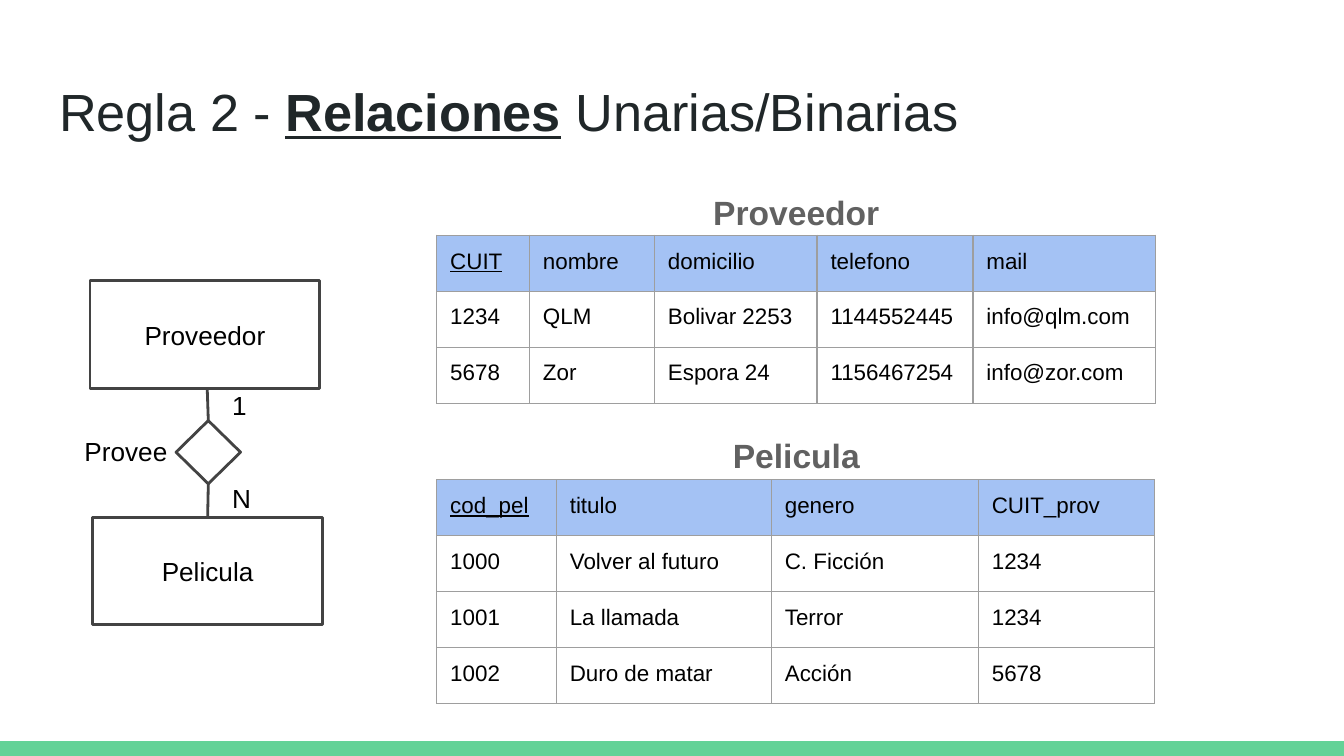
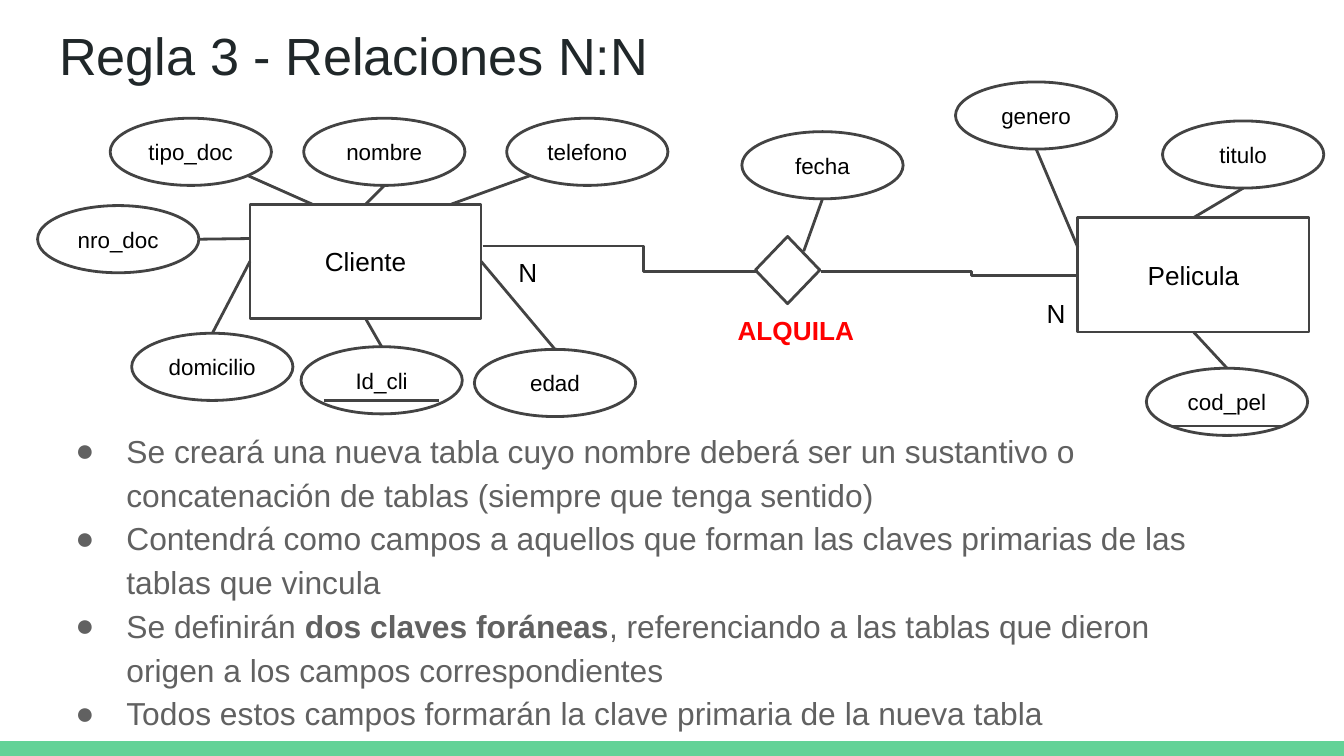
from dataclasses import dataclass

from lxml import etree
from pptx import Presentation
from pptx.dml.color import RGBColor
from pptx.enum import shapes, text
from pptx.oxml import ns
from pptx.util import Inches, Pt


@dataclass(frozen=True)
class Theme:
    font: str = "Arial"
    title: str = "202729"
    body: str = "616161"
    ink: str = "000000"
    alert: str = "FF0000"
    outline: str = "434343"
    band: str = "63D297"
    header: str = "A4C2F4"
    grid: str = "9E9E9E"
    title_size: float = 28
    caption_size: float = 18
    body_size: float = 17
    entity_size: float = 14
    small_size: float = 12
    stroke: float = 1.5
    grid_stroke: float = 0.75
    inset: float = 0.1


THEME = Theme()
SLIDE_W = 10
SLIDE_H = SLIDE_W * 9 / 16
BAND_H = 0.11
ROW_H = 5 / 12

# Runs are (text, style); style letters are b for bold and u for underline.
BINARY_TITLE = [("Regla 2 - ", ""), ("Relaciones", "bu"), (" Unarias/Binarias", "")]
CAPTIONS = [("Proveedor", 1.28), ("Pelicula", 3.09)]
TABLES = [  # left, top, column widths, rows, first column is the key
    (3.25, 1.75, [0.69, 0.93, 1.21, 1.16, 1.36], [
        ["CUIT", "nombre", "domicilio", "telefono", "mail"],
        ["1234", "QLM", "Bolivar 2253", "1144552445", "info@qlm.com"],
        ["5678", "Zor", "Espora 24", "1156467254", "info@zor.com"],
    ], True),
    (3.25, 3.57, [0.89, 1.6, 1.54], [
        ["cod_pel", "titulo", "genero"],
        ["1000", "Volver al futuro", "C. Ficción"],
        ["1001", "La llamada", "Terror"],
        ["1002", "Duro de matar", "Acción"],
    ], True),
    (7.28, 3.57, [1.31], [["CUIT_prov"], ["1234"], ["1234"], ["5678"]], False),
]
SUPPLY_ENTITIES = [  # name, left, top, link point (fractions of its box)
    ("Proveedor", 0.67, 2.09, (0.51, 1)),
    ("Pelicula", 0.69, 3.85, (0.5, 0)),
]
SUPPLY_SIZE = (1.71, 0.8)
SUPPLY_DIAMOND = (1.31, 3.13, 0.48, 0.47)
SUPPLY_LABELS = [("Provee", 0.53, 3.14, 0.85, 0.35),
                 ("1", 1.63, 2.8, 0.3, 0.47), ("N", 1.63, 3.49, 0.3, 0.47)]

MANY_TITLE = [("Regla 3 - Relaciones N:N", "")]
RULES = [
    [("Se creará una nueva tabla cuyo nombre deberá ser un sustantivo o "
      "concatenación de tablas (siempre que tenga sentido)", "")],
    [("Contendrá como campos a aquellos que forman las claves primarias de las "
      "tablas que vincula", "")],
    [("Se definirán ", ""), ("dos claves foráneas", "b"),
     (", referenciando a las tablas que dieron origen a los campos correspondientes", "")],
    [("Todos estos campos formarán la clave primaria de la nueva tabla", "")],
]
RENT_ENTITIES = [("Cliente", 1.86, 1.52), ("Pelicula", 8.02, 1.62)]
RENT_SIZE = (1.72, 0.85)
RENT_DIAMOND = (5.62, 1.76, 0.48, 0.5)
OVAL_SIZE = (1.2, 0.5)
# text, left, top, point on the oval, point on the owner (fractions of its box)
ATTRIBUTES = {
    "Cliente": [
        ("tipo_doc", 0.82, 0.88, (0.85, 0.85), (0.27, 0)),
        ("nombre", 2.26, 0.88, (0.5, 1), (0.5, 0)),
        ("telefono", 3.77, 0.88, (0.15, 0.85), (0.87, 0)),
        ("nro_doc", 0.28, 1.53, (1, 0.5), (0, 0.3)),
        ("domicilio", 0.98, 2.48, (0.5, 0), (0, 0.5)),
        ("Id_cli", 2.24, 2.58, (0.5, 0), (0.5, 1)),
        ("edad", 3.53, 2.6, (0.5, 0), (1, 0.5)),
    ],
    "Pelicula": [
        ("genero", 7.11, 0.61, (0.5, 1), (0, 0.26)),
        ("titulo", 8.65, 0.9, (0.5, 1), (0.5, 0)),
        ("cod_pel", 8.53, 2.74, (0.5, 0), (0.5, 1)),
    ],
    "ALQUILA": [("fecha", 5.52, 0.98, (0.5, 1), (0.75, 0.22))],
}
KEY_DEPTHS = {"Id_cli": 0.4, "cod_pel": 0.43}
KEY_START, KEY_END = 0.17, 1.03
RENT_LINKS = [((3.59, 1.83), (5.64, 2.02), 0.585), ((6.11, 2.02), (8.02, 2.05), 0.586)]
RENT_LABELS = [("N", 3.76, 1.81, 0.3, 0.5), ("N", 7.69, 2.11, 0.3, 0.5)]
RENT_NAME = ("ALQUILA", 5.39, 2.24, 1.27, 0.5)

SIDES = {(0.5, 0): 0, (0, 0.5): 1, (0.5, 1): 2, (1, 0.5): 3}
CENTER = text.PP_ALIGN.CENTER
LEFT = text.PP_ALIGN.LEFT


def rgb(colour):
    return RGBColor.from_string(colour)


def inches(*values):
    return [Inches(value) for value in values]


def write(paragraph, runs, size, colour=THEME.ink, align=LEFT):
    paragraph.alignment = align
    for words, style in runs:
        run = paragraph.add_run()
        run.text = words
        font = run.font
        font.name, font.size = THEME.font, Pt(size)
        font.bold, font.underline = "b" in style, "u" in style
        font.color.rgb = rgb(colour)


def set_frame(frame, anchor=text.MSO_ANCHOR.TOP, wrap=True):
    frame.auto_size = text.MSO_AUTO_SIZE.NONE
    frame.word_wrap = wrap
    frame.vertical_anchor = anchor
    frame.margin_left = frame.margin_right = Inches(THEME.inset)
    frame.margin_top = frame.margin_bottom = Inches(THEME.inset)
    return frame.paragraphs[0]


def place(shape, *box):
    shape.left, shape.top, shape.width, shape.height = inches(*box)


def add_title(slide, runs, top):
    place(slide.shapes.title, 0.34, top, 9.32, 0.63)
    write(set_frame(slide.shapes.title.text_frame), runs, THEME.title_size, THEME.title)


def add_label(slide, words, *box, style="", size=THEME.entity_size, colour=THEME.ink, align=LEFT):
    label = slide.shapes.add_textbox(*inches(*box))
    paragraph = set_frame(label.text_frame)
    write(paragraph, [(words, style)], size, colour, align)
    return paragraph


def add_node(slide, kind, box, words="", size=THEME.entity_size):
    node = slide.shapes.add_shape(kind, *inches(*box))
    node.shadow.inherit = False
    node.fill.background()
    node.line.color.rgb = rgb(THEME.outline)
    node.line.width = Pt(THEME.stroke)
    paragraph = set_frame(node.text_frame, text.MSO_ANCHOR.MIDDLE, wrap=False)
    if words:
        write(paragraph, [(words, "")], size, align=CENTER)
    return node


def add_link(slide, start, end, kind=shapes.MSO_CONNECTOR.STRAIGHT):
    """Draw a connector between two points in EMU."""
    link = slide.shapes.add_connector(kind, *start, *end)
    link.line.color.rgb = rgb(THEME.outline)
    link.line.width = Pt(THEME.stroke)
    etree.SubElement(link.element.spPr, ns.qn("a:effectLst"))
    return link


def add_elbow(slide, start, end, bend):
    link = add_link(slide, inches(*start), inches(*end), shapes.MSO_CONNECTOR.ELBOW)
    guides = link.element.spPr.find(ns.qn("a:prstGeom")).find(ns.qn("a:avLst"))
    etree.SubElement(guides, ns.qn("a:gd"), name="adj1", fmla=f"val {round(bend * 100000)}")


def point_on(node, fractions):
    across, down = fractions
    return round(node.left + across * node.width), round(node.top + down * node.height)


def link_nodes(slide, node, node_point, owner, owner_point):
    """Link two nodes, joining the owner where the line meets the middle of a side."""
    link = add_link(slide, point_on(node, node_point), point_on(owner, owner_point))
    if owner_point in SIDES:
        link.end_connect(owner, SIDES[owner_point])
    return link


def add_attribute(slide, owner, words, left, top, oval_point, owner_point):
    oval = add_node(slide, shapes.MSO_SHAPE.OVAL, (left, top, *OVAL_SIZE), words, THEME.small_size)
    link_nodes(slide, oval, oval_point, owner, owner_point)
    if words in KEY_DEPTHS:
        y = top + KEY_DEPTHS[words]
        add_link(slide, inches(left + KEY_START, y), inches(left + KEY_END, y))


def add_grid(slide, left, top, widths, rows, has_key):
    box = inches(left, top, sum(widths), ROW_H * len(rows))
    grid = slide.shapes.add_table(len(rows), len(widths), *box).table
    grid.first_row = grid.horz_banding = False
    for column, width in zip(grid.columns, widths):
        column.width = Inches(width)
    for r, row in enumerate(rows):
        grid.rows[r].height = Inches(ROW_H)
        for c, words in enumerate(row):
            cell = grid.cell(r, c)
            cell.margin_left = cell.margin_right = Inches(THEME.inset)
            cell.margin_top = cell.margin_bottom = Inches(THEME.inset)
            add_borders(cell)
            if r == 0:
                cell.fill.solid()
                cell.fill.fore_color.rgb = rgb(THEME.header)
            else:
                cell.fill.background()
            style = "u" if has_key and r == c == 0 else ""
            write(cell.text_frame.paragraphs[0], [(words, style)], THEME.small_size)


def add_borders(cell):
    properties = cell._tc.get_or_add_tcPr()
    for side in ("a:lnL", "a:lnR", "a:lnT", "a:lnB"):
        border = etree.SubElement(properties, ns.qn(side), w=str(Pt(THEME.grid_stroke)))
        fill = etree.SubElement(border, ns.qn("a:solidFill"))
        etree.SubElement(fill, ns.qn("a:srgbClr"), val=THEME.grid)


def add_bullet(paragraph):
    properties = paragraph._p.get_or_add_pPr()
    properties.set("marL", str(Inches(0.5)))
    properties.set("indent", str(Inches(-0.38)))
    colour = etree.SubElement(properties, ns.qn("a:buClr"))
    etree.SubElement(colour, ns.qn("a:srgbClr"), val=THEME.body)
    etree.SubElement(properties, ns.qn("a:buFont"), typeface=THEME.font)
    etree.SubElement(properties, ns.qn("a:buChar"), char="●")


def add_master_band(prs, slide):
    """Draw the footer band, then hand it to the master so every slide shows it."""
    box = inches(0, SLIDE_H - BAND_H, SLIDE_W, BAND_H)
    band = slide.shapes.add_shape(shapes.MSO_SHAPE.RECTANGLE, *box)
    band.shadow.inherit = False
    band.fill.solid()
    band.fill.fore_color.rgb = rgb(THEME.band)
    band.line.fill.background()
    band.element.nvSpPr.cNvPr.set("id", "99")
    prs.slide_master.shapes.element.insert(2, band.element)


def build_binary(slide):
    add_title(slide, BINARY_TITLE, 0.49)
    supplies = add_node(slide, shapes.MSO_SHAPE.FLOWCHART_DECISION, SUPPLY_DIAMOND)
    for name, left, top, entity_point in SUPPLY_ENTITIES:
        entity = add_node(slide, shapes.MSO_SHAPE.RECTANGLE, (left, top, *SUPPLY_SIZE), name)
        tip = (0.5, 1 - entity_point[1])
        link = link_nodes(slide, supplies, tip, entity, entity_point)
        link.begin_connect(supplies, SIDES[tip])
    for label in SUPPLY_LABELS:
        add_label(slide, *label)
    for grid in TABLES:
        add_grid(slide, *grid)
    for words, top in CAPTIONS:
        caption = add_label(slide, words, 3.52, top, 4.81, 0.56, style="b",
                            size=THEME.caption_size, colour=THEME.body, align=CENTER)
        caption.line_spacing, caption.space_after = 1.15, Pt(16)


def build_many(slide):
    add_title(slide, MANY_TITLE, 0.07)
    rules = slide.placeholders[1]
    place(rules, 0.34, 3.07, 8.93, 0.55)
    set_frame(rules.text_frame)
    for i, runs in enumerate(RULES):
        paragraph = rules.text_frame.add_paragraph() if i else rules.text_frame.paragraphs[0]
        add_bullet(paragraph)
        paragraph.line_spacing, paragraph.space_before = 1.15, Pt(0)
        write(paragraph, runs, THEME.body_size, THEME.body)
    owners = {name: add_node(slide, shapes.MSO_SHAPE.RECTANGLE, (x, y, *RENT_SIZE), name)
              for name, x, y in RENT_ENTITIES}
    owners["ALQUILA"] = add_node(slide, shapes.MSO_SHAPE.FLOWCHART_DECISION, RENT_DIAMOND)
    for name, attributes in ATTRIBUTES.items():
        for attribute in attributes:
            add_attribute(slide, owners[name], *attribute)
    for link in RENT_LINKS:
        add_elbow(slide, *link)
    for label in RENT_LABELS:
        add_label(slide, *label)
    add_label(slide, *RENT_NAME, style="b", colour=THEME.alert)


def main():
    prs = Presentation()
    prs.slide_width, prs.slide_height = inches(SLIDE_W, SLIDE_H)
    binary = prs.slides.add_slide(prs.slide_layouts[5])
    add_master_band(prs, binary)
    build_binary(binary)
    build_many(prs.slides.add_slide(prs.slide_layouts[1]))
    prs.save("out.pptx")


if __name__ == "__main__":
    main()
